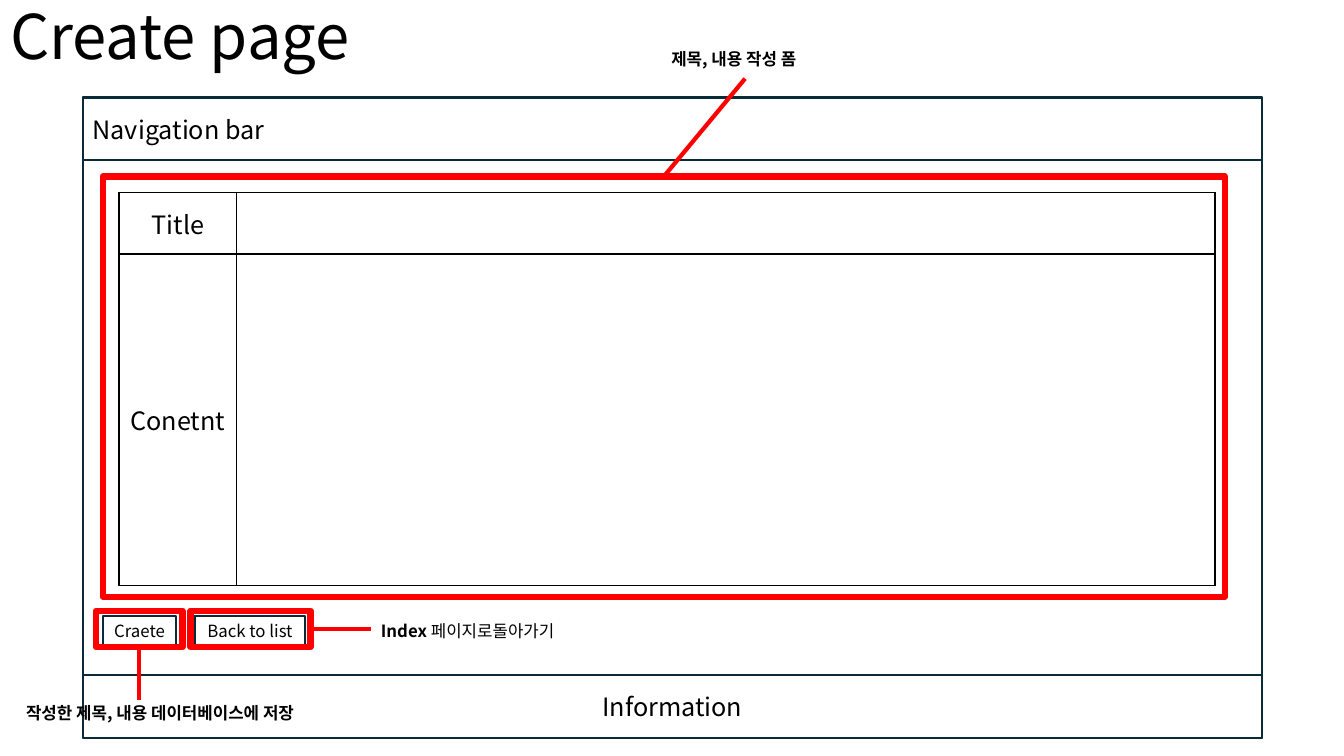
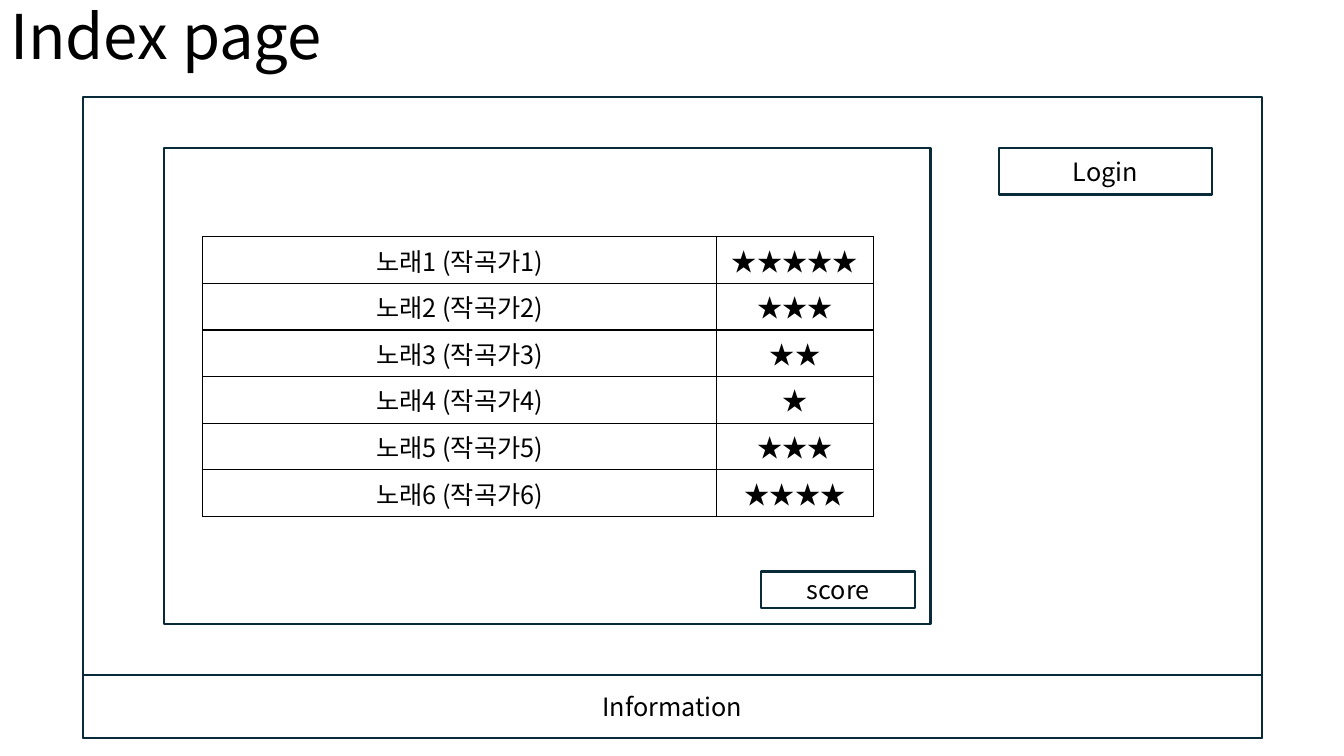
from typing import NamedTuple

from pptx import Presentation
from pptx import util as u
from pptx.dml.color import RGBColor
from pptx.enum import shapes as kinds, text as txt
from pptx.oxml import parse_xml
from pptx.oxml.ns import nsdecls, qn
from pptx.oxml.xmlchemy import OxmlElement

FONT = "Noto Sans CJK KR"
BLACK, NAVY, RED = "000000", "092A39", "FF0000"
LEFT = txt.PP_ALIGN.LEFT
MID = txt.PP_ALIGN.CENTER


class Box(NamedTuple):
    x: float
    y: float
    w: float
    h: float
    text: str = ""
    size: float = 18
    align: txt.PP_ALIGN = MID
    line: str = NAVY
    width: float = 1.5


class Link(NamedTuple):
    """A red line from the middle of a frame's side to a free end."""
    frame: int
    side: int
    x: float
    y: float


class Note(NamedTuple):
    x: float
    y: float
    w: float
    bold: str
    plain: str = ""


PAGE = Box(0.82, 0.96, 11.7, 6.36)
FOOTER = Box(0.82, 6.7, 11.7, 0.62, "Information")

CREATE = [
    Box(0.82, 0.97, 11.7, 0.62, "Navigation bar", align=LEFT),
    Box(1.02, 6.11, 0.73, 0.29, "Craete", 12),
    Box(1.93, 6.11, 1.1, 0.29, "Back to list", 12),
]
FRAMES = [
    Box(1.02, 1.75, 11.13, 4.17, line=RED, width=4.5),
    Box(0.95, 6.06, 0.86, 0.36, line=RED, width=4.5),
    Box(1.89, 6.06, 1.19, 0.36, line=RED, width=4.5),
]
LINKS = [Link(0, 0, 7.39, 0.78), Link(1, 2, 1.38, 6.94), Link(2, 3, 3.68, 6.24)]
NOTES = [
    Note(6.56, 0.43, 1.66, "제목, 내용 작성 폼"),
    Note(0.16, 6.92, 3.18, "작성한 제목, 내용 데이터베이스에 저장"),
    Note(3.68, 6.11, 2.05, "Index ", "페이지로돌아가기"),
]
INDEX = [
    Box(1.63, 1.47, 7.6, 4.72),
    Box(9.91, 1.47, 2.11, 0.46, "Login"),
    Box(7.55, 5.67, 1.53, 0.36, "score"),
]
STARS = [5, 3, 2, 1, 3, 4]


def color(code: str) -> RGBColor:
    return RGBColor.from_string(code)


def write(frame, text: str, *, size: float = 18, bold: bool = False,
          align: txt.PP_ALIGN = LEFT, tint: str = BLACK):
    """Append a run to the frame's first paragraph and return the paragraph."""
    para = frame.paragraphs[0]
    para.alignment = align
    run = para.add_run()
    run.text = text
    font = run.font
    font.name, font.size, font.bold = FONT, u.Pt(size), bold
    font.color.rgb = color(tint)
    east = OxmlElement("a:ea")
    east.set("typeface", FONT)
    font._element.find(qn("a:latin")).addnext(east)
    return para


def start(deck, title: str):
    """Add a slide with its title, page outline and footer."""
    slide = deck.slides.add_slide(deck.slide_layouts[5])
    head = slide.shapes.title
    head.left, head.top = u.Inches(0), u.Inches(0)
    head.width, head.height = u.Inches(11.5), u.Inches(0.78)
    frame = head.text_frame
    frame.auto_size = txt.MSO_AUTO_SIZE.NONE
    frame.vertical_anchor = txt.MSO_ANCHOR.MIDDLE
    write(frame, title, size=44).line_spacing = 0.9
    for box in (PAGE, FOOTER):
        draw(slide, box)
    return slide


def draw(slide, box: Box):
    shape = slide.shapes.add_shape(
        kinds.MSO_SHAPE.RECTANGLE, u.Inches(box.x), u.Inches(box.y),
        u.Inches(box.w), u.Inches(box.h))
    shape.shadow.inherit = False
    shape.fill.background()
    shape.line.color.rgb = color(box.line)
    shape.line.width = u.Pt(box.width)
    if box.text:
        frame = shape.text_frame
        frame.vertical_anchor = txt.MSO_ANCHOR.MIDDLE
        write(frame, box.text, size=box.size, align=box.align)
    return shape


def join(slide, shape, link: Link) -> None:
    end = u.Inches(link.x), u.Inches(link.y)
    line = slide.shapes.add_connector(kinds.MSO_CONNECTOR.STRAIGHT, *end, *end)
    line.begin_connect(shape, link.side)
    line.line.color.rgb = color(RED)
    line.line.width = u.Pt(3)
    line._element.spPr.append(OxmlElement("a:effectLst"))


def label(slide, note: Note) -> None:
    frame = slide.shapes.add_textbox(
        u.Inches(note.x), u.Inches(note.y),
        u.Inches(note.w), u.Inches(0.3)).text_frame
    frame.word_wrap = False
    frame.auto_size = txt.MSO_AUTO_SIZE.SHAPE_TO_FIT_TEXT
    write(frame, note.bold, size=12, bold=True)
    if note.plain:
        write(frame, note.plain, size=12)


def edge(cell) -> None:
    """Give a cell thin black borders and no fill."""
    cell.fill.background()
    props = cell._tc.get_or_add_tcPr()
    for spot, side in enumerate("LRTB"):
        props.insert(spot, parse_xml(
            f'<a:ln{side} {nsdecls("a")} w="12700"><a:solidFill>'
            f'<a:srgbClr val="{BLACK}"/></a:solidFill></a:ln{side}>'))


def grid(slide, x: float, y: float, cols: list[float], rows: list[float],
         cells: list[tuple[str, str]]) -> None:
    table = slide.shapes.add_table(
        len(rows), len(cols), u.Inches(x), u.Inches(y),
        u.Inches(sum(cols)), u.Inches(sum(rows))).table
    table.first_row = table.horz_banding = False
    for col, width in zip(table.columns, cols):
        col.width = u.Inches(width)
    for row, height, words in zip(table.rows, rows, cells):
        row.height = u.Inches(height)
        for cell, word in zip(row.cells, words):
            edge(cell)
            cell.vertical_anchor = txt.MSO_ANCHOR.MIDDLE
            if word:
                write(cell.text_frame, word, align=MID)


def create(deck) -> None:
    slide = start(deck, "Create page")
    for box in CREATE:
        draw(slide, box)
    grid(slide, 1.18, 1.91, [1.17, 9.7], [0.61, 3.29],
         [("Title", ""), ("Conetnt", "")])
    frames = [draw(slide, box) for box in FRAMES]
    for link in LINKS:
        join(slide, frames[link.frame], link)
    for note in NOTES:
        label(slide, note)


def index(deck) -> None:
    slide = start(deck, "Index page")
    for box in INDEX:
        draw(slide, box)
    songs = [(f"노래{n} (작곡가{n})", "★" * stars)
             for n, stars in enumerate(STARS, 1)]
    grid(slide, 2.01, 2.35, [5.1, 1.55], [0.41] * len(songs), songs)


def main() -> None:
    deck = Presentation()
    deck.slide_width, deck.slide_height = u.Inches(13.33), u.Inches(7.5)
    create(deck)
    index(deck)
    deck.save("out.pptx")


if __name__ == "__main__":
    main()
